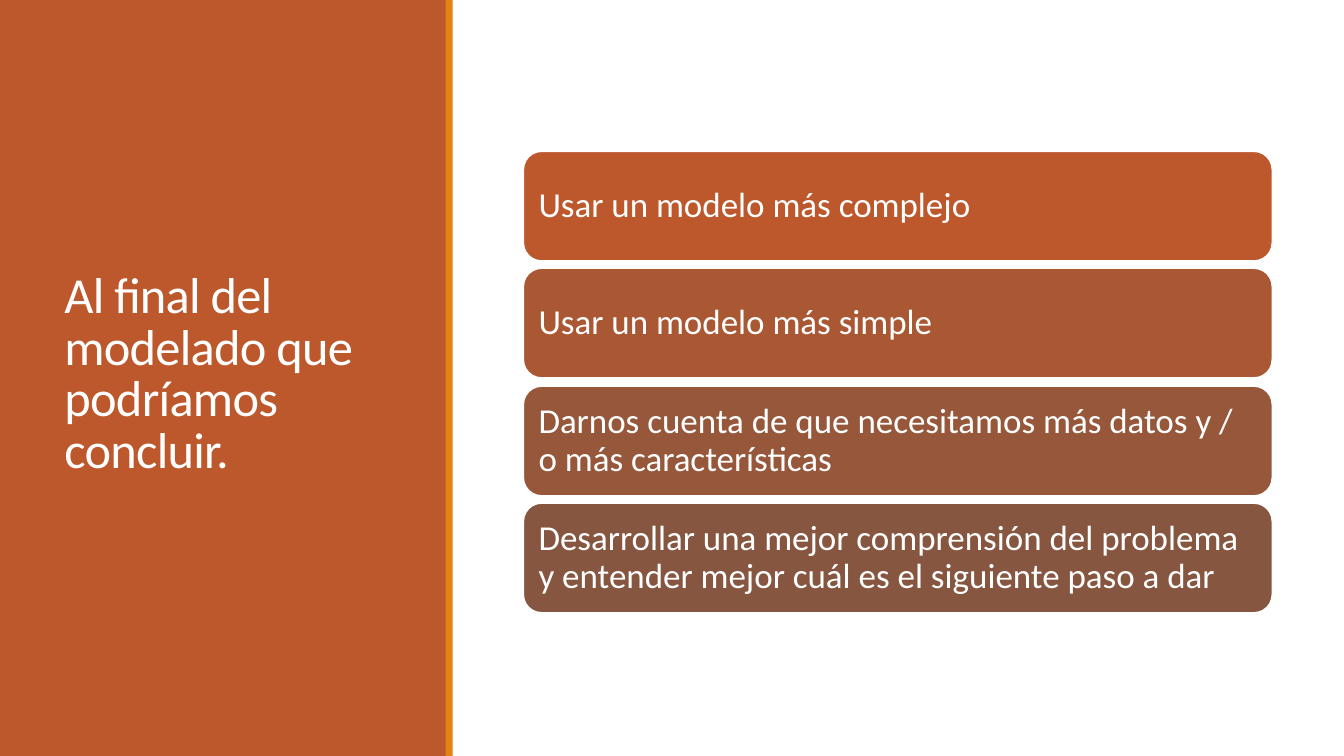
from dataclasses import dataclass

from pptx import Presentation
from pptx import util as u
from pptx.dml.color import RGBColor
from pptx.enum import shapes, text

PX = 9144  # EMU per px, 100 px to the inch


@dataclass(frozen=True)
class Theme:
    font: str = "Calibri"
    white: str = "FFFFFF"
    rust: str = "BD582C"
    amber: str = "E48312"
    bars: tuple[str, ...] = ("BD582C", "AA5834", "97573A", "865640")
    title_size: int = 36
    bar_size: int = 25
    bar_line: float = 1.25


@dataclass(frozen=True)
class Box:
    left: int
    top: int
    width: int
    height: int

    def emu(self) -> list[int]:
        return [side * PX for side in (self.left, self.top, self.width, self.height)]


@dataclass(frozen=True)
class Bar:
    label: str
    color: str
    box: Box


THEME = Theme()
SLIDE = Box(0, 0, 1333, 750)
PANEL = Box(0, 0, 443, 750)
STRIPE = Box(442, 0, 7, 750)
TITLE_BOX = Box(54, 57, 337, 631)
FIRST_BAR = Box(519, 150, 743, 109)
LAST_TOP = 499

TITLE = "Al final del modelado que podríamos concluir."
LABELS = (
    "Usar un modelo más complejo",
    "Usar un modelo más simple",
    "Darnos cuenta de que necesitamos más datos y / o más características",
    "Desarrollar una mejor comprensión del problema y entender mejor cuál es el siguiente paso a dar",
)


def set_all(target, values: dict) -> None:
    for name, value in values.items():
        setattr(target, name, value)


def add_block(slide, kind, box: Box, color: str):
    shape = slide.shapes.add_shape(kind, *box.emu())
    shape.shadow.inherit = False
    shape.fill.solid()
    shape.fill.fore_color.rgb = RGBColor.from_string(color)
    shape.line.fill.background()
    return shape


def write(shape, words: str, size: int, spacing: float, inset_x: int, inset_y: int):
    frame = shape.text_frame
    set_all(frame, {
        "word_wrap": True,
        "vertical_anchor": text.MSO_ANCHOR.MIDDLE,
        "margin_left": inset_x * PX,
        "margin_right": inset_x * PX,
        "margin_top": inset_y * PX,
        "margin_bottom": inset_y * PX,
    })
    paragraph = frame.paragraphs[0]
    set_all(paragraph, {"alignment": text.PP_ALIGN.LEFT, "line_spacing": spacing})
    run = paragraph.add_run()
    run.text = words
    set_all(run.font, {"name": THEME.font, "size": u.Pt(size)})
    run.font.color.rgb = RGBColor.from_string(THEME.white)
    return run


def add_bar(slide, bar: Bar) -> None:
    shape = add_block(slide, shapes.MSO_SHAPE.ROUNDED_RECTANGLE, bar.box, bar.color)
    shape.line.color.rgb = RGBColor.from_string(THEME.white)
    shape.line.width = u.Pt(THEME.bar_line)
    write(shape, bar.label, THEME.bar_size, 0.9, 10, 10)


def make_bars() -> list[Bar]:
    pitch = (LAST_TOP - FIRST_BAR.top) / (len(LABELS) - 1)
    return [
        Bar(label, color, Box(FIRST_BAR.left, round(FIRST_BAR.top + row * pitch),
                              FIRST_BAR.width, FIRST_BAR.height))
        for row, (label, color) in enumerate(zip(LABELS, THEME.bars))
    ]


def main() -> None:
    presentation = Presentation()
    set_all(presentation, {"slide_width": SLIDE.width * PX, "slide_height": SLIDE.height * PX})
    slide = presentation.slides.add_slide(presentation.slide_layouts[6])

    # Side panel with its stripe
    add_block(slide, shapes.MSO_SHAPE.RECTANGLE, PANEL, THEME.rust)
    add_block(slide, shapes.MSO_SHAPE.RECTANGLE, STRIPE, THEME.amber)

    # Title, with slightly tightened letters
    title = slide.shapes.add_textbox(*TITLE_BOX.emu())
    run = write(title, TITLE, THEME.title_size, 0.85, 10, 5)
    run.font._element.set("spc", "-50")

    # Conclusions
    for bar in make_bars():
        add_bar(slide, bar)

    presentation.save("out.pptx")


if __name__ == "__main__":
    main()
